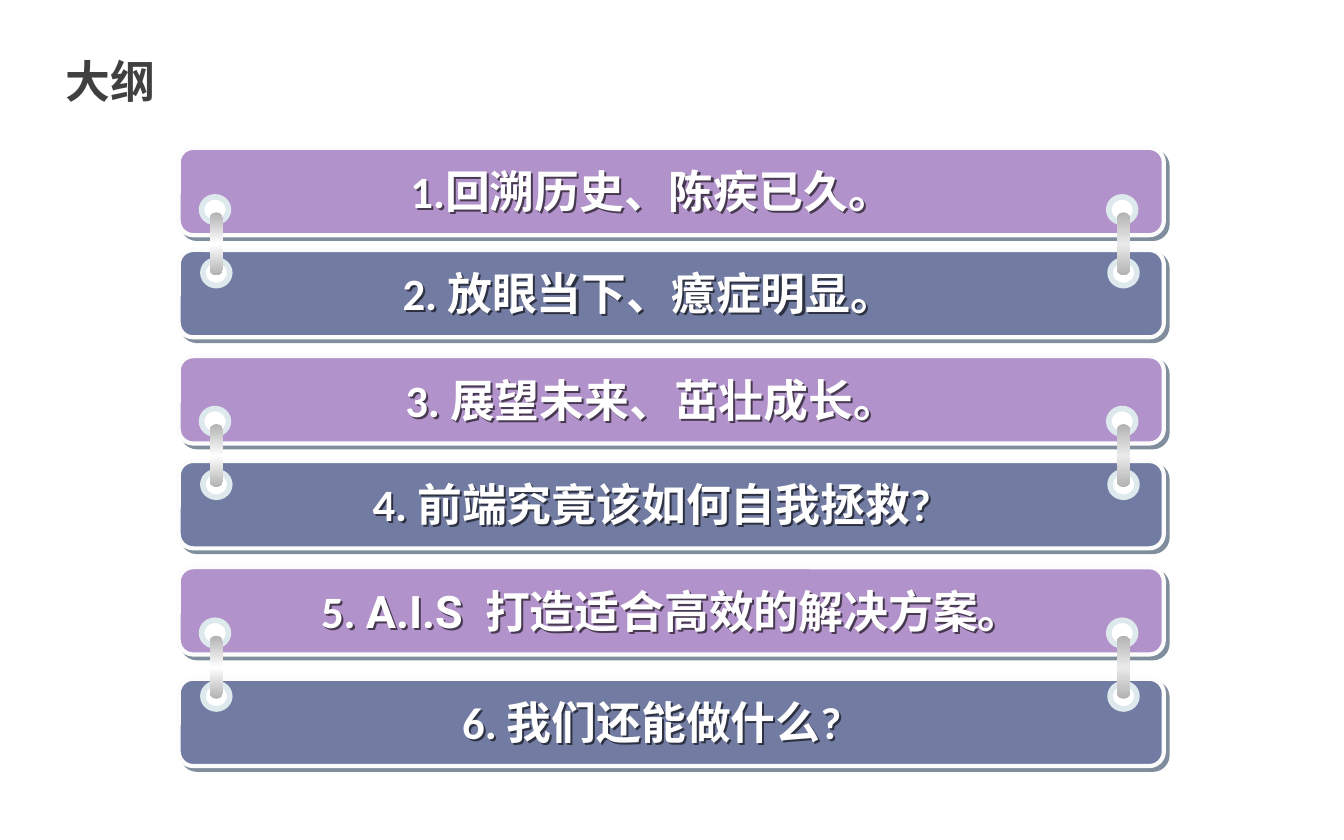
from copy import deepcopy
from dataclasses import dataclass

from lxml.etree import SubElement
from pptx import Presentation
from pptx.dml.color import RGBColor
from pptx.enum.shapes import MSO_SHAPE as Shape
from pptx.enum.text import MSO_ANCHOR as Anchor, PP_ALIGN as Align
from pptx.oxml.ns import qn
from pptx.util import Inches, Pt

TITLE = "大纲"
LATIN, CJK, ROBOTO = "Calibri", "Noto Sans CJK SC", "Roboto"

# Bar top, text box left and width, and text runs: words, font, letter spacing
CHAPTERS = [
    (1.10, 2.25, 5.5, [("1.回溯历史、陈疾已久。", LATIN, 0)]),
    (1.86, 2.23, 5.5, [("2. 放眼当下、癔症明显。", LATIN, 0)]),
    (2.65, 2.25, 5.5, [("3. 展望未来、茁壮成长。", LATIN, 0)]),
    (3.43, 2.25, 5.5, [("4. 前端究竟该如何自我拯救?", LATIN, 0)]),
    (4.22, 2.25, 5.8, [("5. ", LATIN, 0), ("A.I.S", ROBOTO, 0), (" ", ROBOTO, 6),
                       ("打造适合高效的解决方案。", LATIN, 0)]),
    (5.05, 2.25, 5.5, [("6. 我们还能做什么?", LATIN, 0)]),
]
BAR_LEFT, BAR_WIDTH, BAR_HEIGHT = 1.33, 7.33, 0.65
LINK_TOP, LINK_PITCH = 1.465, 1.575


@dataclass(frozen=True)
class Theme:
    bars: tuple = ("B292CA", "727CA3")
    bar_edge: str = "FCFCFC"
    bar_shadow: tuple = ("001D3A", 50, 2.8)  # colour, opacity, distance
    text_shadow: tuple = ("000000", 60, 1.6)
    title: str = "404040"
    text: str = "FFFFFF"
    ring: str = "FFFFFF"
    ring_edge: str = "DDE9EC"
    pin_end: str = "B2B2B2"
    size: int = 24


THEME = Theme()
# Left edge of each column of links, with the middle colour of its pins
LINK_COLUMNS = [(8.25, "EAEAEA"), (1.50, "FFFFFF")]


def rgb(code):
    return RGBColor.from_string(code)


def add_shadow(form, color, opacity, distance):
    """Give a shape, or the text of an unfilled box, a hard shadow."""
    form.shadow.inherit = False
    effects = form._element.spPr.find(qn("a:effectLst"))
    shadow = SubElement(effects, qn("a:outerShdw"), blurRad="0",
                        dist=str(Pt(distance)), dir=str(45 * 60000),
                        algn="ctr", rotWithShape="0")
    shade = SubElement(shadow, qn("a:srgbClr"), val=color)
    SubElement(shade, qn("a:alpha"), val=str(opacity * 1000))


def add_form(shapes, kind, left, top, width, height):
    form = shapes.add_shape(kind, Inches(left), Inches(top),
                            Inches(width), Inches(height))
    form.shadow.inherit = False
    return form


def paint(form, fill, edge, edge_width):
    form.fill.solid()
    form.fill.fore_color.rgb = rgb(fill)
    form.line.color.rgb = rgb(edge)
    form.line.width = Pt(edge_width)


def add_bar(shapes, top, fill):
    bar = add_form(shapes, Shape.ROUNDED_RECTANGLE,
                   BAR_LEFT, top, BAR_WIDTH, BAR_HEIGHT)
    bar.adjustments[0] = 0.167
    paint(bar, fill, THEME.bar_edge, 2.25)
    add_shadow(bar, *THEME.bar_shadow)


def add_text(shapes, left, top, width, runs, color):
    box = shapes.add_textbox(Inches(left), Inches(top),
                             Inches(width), Inches(0.51))
    box.text_frame.vertical_anchor = Anchor.TOP
    paragraph = box.text_frame.paragraphs[0]
    for words, face, spacing in runs:
        run = paragraph.add_run()
        run.text = words
        font = run.font
        font.size, font.bold, font.name = Pt(THEME.size), True, face
        font.color.rgb = rgb(color)
        properties = run._r.get_or_add_rPr()
        SubElement(properties, qn("a:ea"), typeface=CJK)
        if spacing:
            properties.set("spc", str(spacing * 100))
    return box


def add_link(shapes, left, top, shine):
    """Join two bars with a pair of rings and a shiny pin."""
    link = shapes.add_group_shape().shapes
    for shift, drop in ((0, 0), (0.01, 0.47)):
        ring = add_form(link, Shape.OVAL, left + shift, top + drop, 0.2, 0.19)
        paint(ring, THEME.ring, THEME.ring_edge, 3)

    pin = add_form(link, Shape.ROUNDED_RECTANGLE,
                   left + 0.06, top + 0.115, 0.1, 0.47)
    pin.adjustments[0] = 0.5
    pin.line.fill.background()
    pin.fill.gradient()
    pin.fill.gradient_angle = 90
    stops = pin._element.spPr.find(".//" + qn("a:gsLst"))
    stops.insert(1, deepcopy(stops[0]))
    colors = (THEME.pin_end, shine, THEME.pin_end)
    for stop, position, color in zip(pin.fill.gradient_stops, (0, 0.5, 1), colors):
        stop.position = position
        stop.color.rgb = rgb(color)


def main():
    deck = Presentation()
    deck.slide_width, deck.slide_height = Inches(10), Inches(6.25)
    shapes = deck.slides.add_slide(deck.slide_layouts[6]).shapes

    heading = add_text(shapes, 0.39, 0.35, 0.88, [(TITLE, CJK, 0)], THEME.title)
    heading.text_frame.word_wrap = False

    for index, (top, left, width, runs) in enumerate(CHAPTERS):
        add_bar(shapes, top, THEME.bars[index % 2])
        label = add_text(shapes, left, top + 0.07, width, runs, THEME.text)
        add_shadow(label, *THEME.text_shadow)
        frame = label.text_frame
        frame.word_wrap = True
        frame.margin_right = Inches(0.4)
        frame.paragraphs[0].alignment = Align.CENTER

    for pair in range(len(CHAPTERS) // 2):
        for left, shine in LINK_COLUMNS:
            add_link(shapes, left, LINK_TOP + pair * LINK_PITCH, shine)

    deck.save("out.pptx")


if __name__ == "__main__":
    main()
